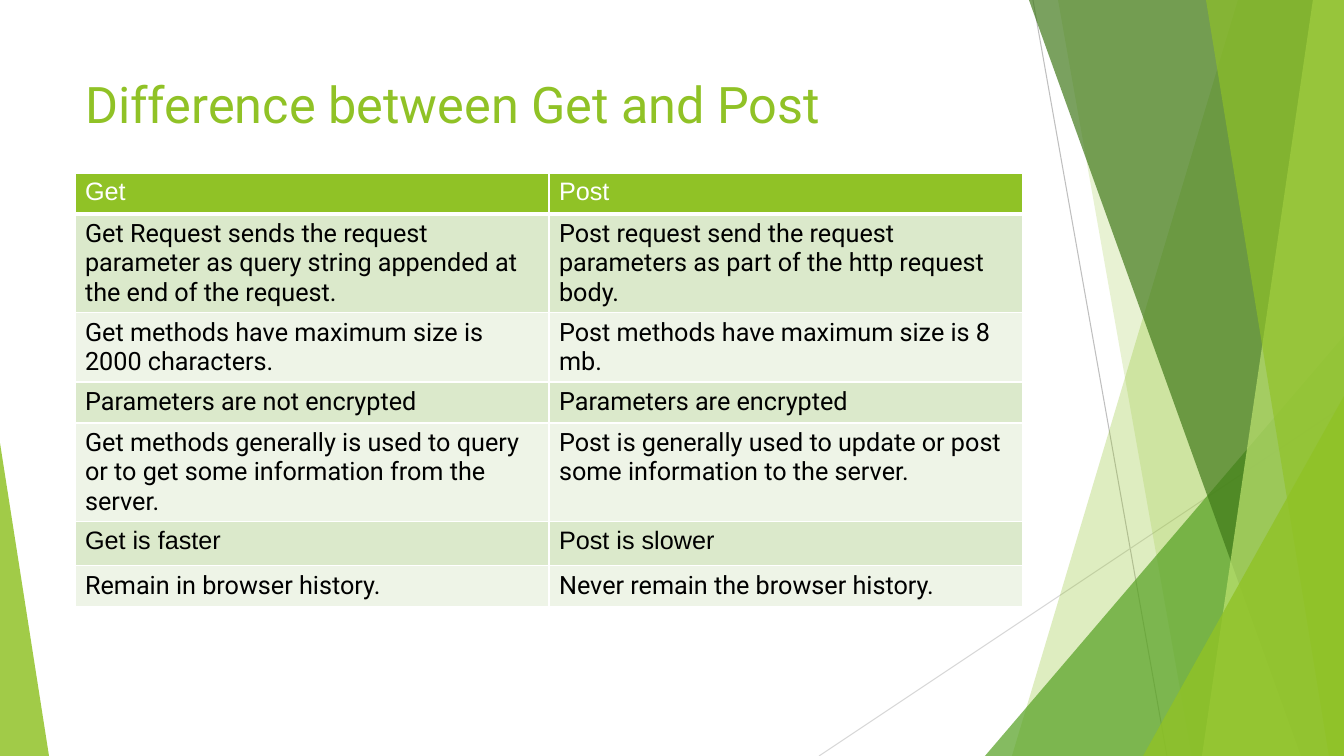
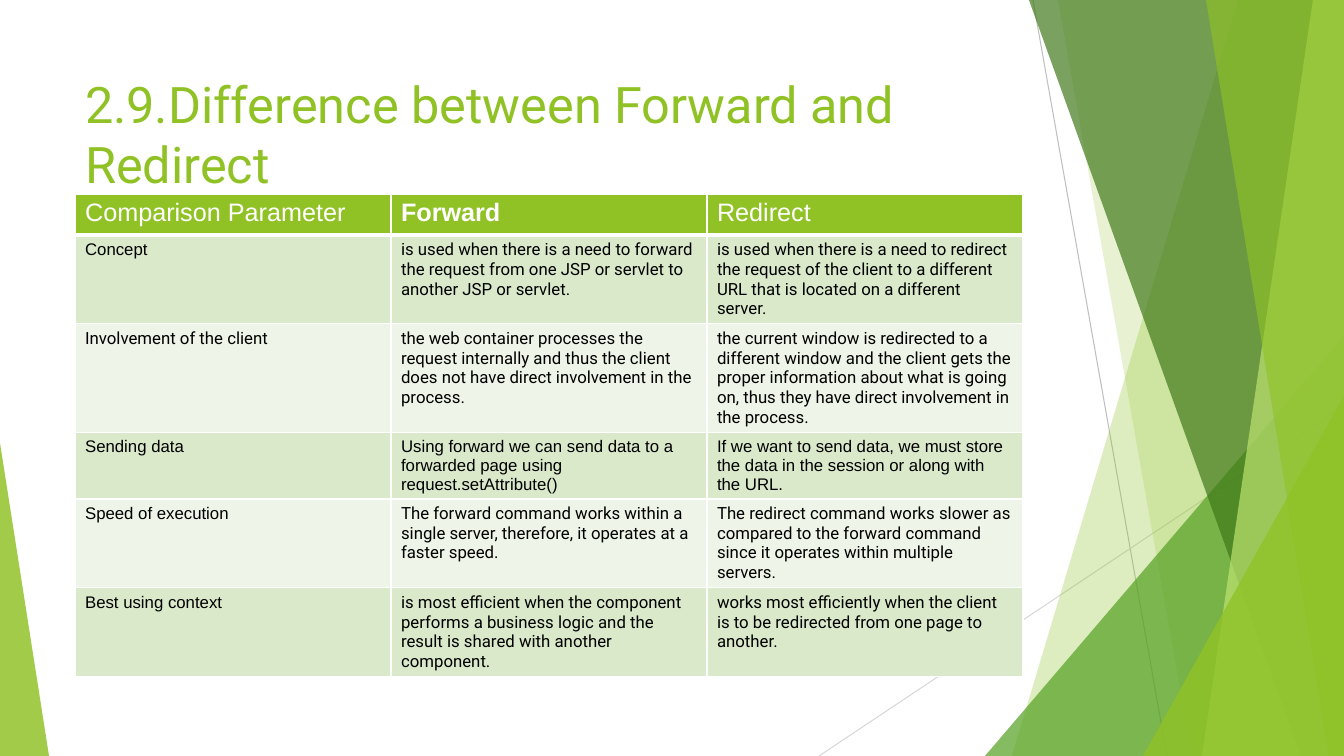
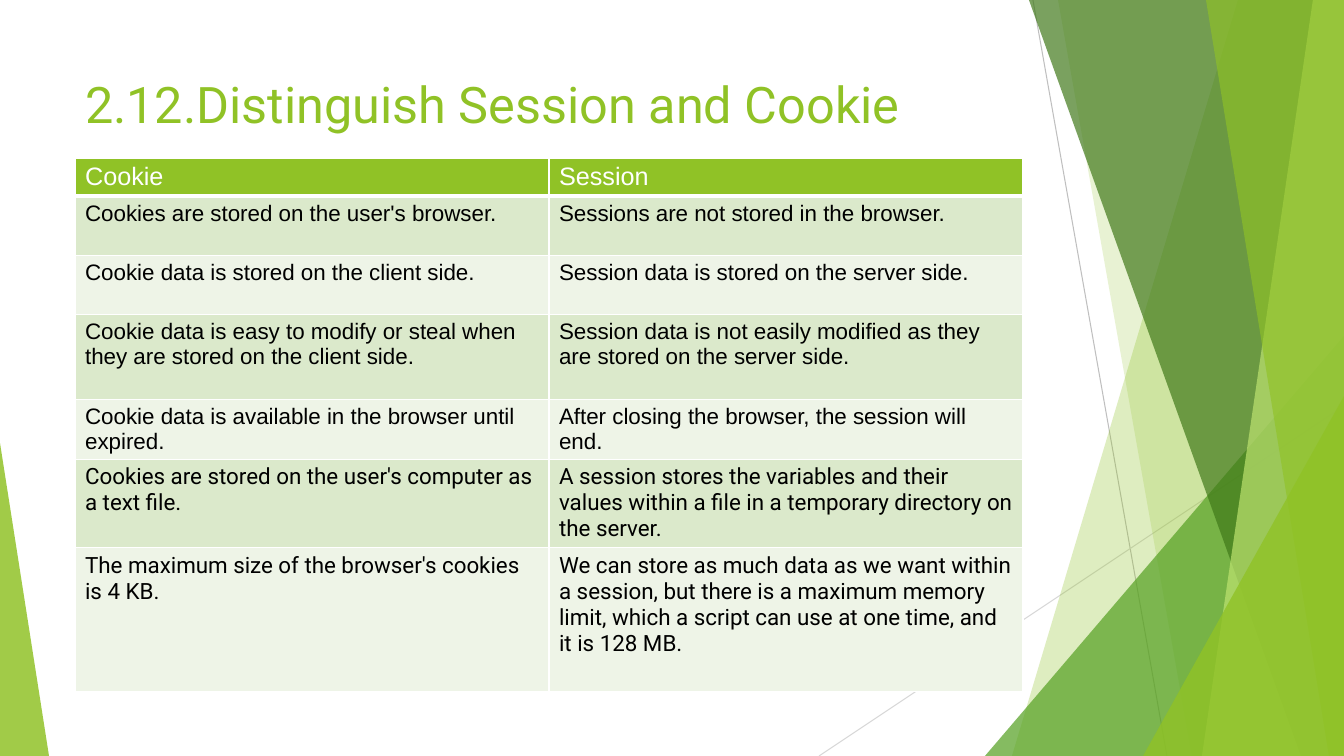
"""Build three comparison-table slides on a shared green layout."""
from lxml.etree import SubElement
from pptx import Presentation
from pptx.dml.color import RGBColor
from pptx.enum.shapes import MSO_CONNECTOR, MSO_SHAPE
from pptx.enum.text import MSO_ANCHOR, MSO_AUTO_SIZE, PP_ALIGN
from pptx.oxml.ns import qn
from pptx.util import Pt

EMU_PER_PX = 914400 / 100.8
WIDTH, HEIGHT = 1344, 756
GREEN, WHITE, BLACK = "90C226", "FFFFFF", "000000"
BANDS = ("DBE9CB", "EEF4E7")
FONTS = {"A": "Arial", "R": "Roboto"}
TITLE_BOX = (75, 68, 948, 145)
TABLE_LEFT, TABLE_WIDTH = 75, 948
HEADER_SIZE = 18

LINES = [
    ((1033, 0), (1167, HEIGHT), "BFBFBF"),
    ((WIDTH, 406), (819, HEIGHT), "D8D8D8"),
]
FACETS = [
    ("panel", (1238, 1012), GREEN, 29),
    ("panel", (1058, 1192), GREEN, 20),
    ("triangle", (985, 336, 359, 420, 1), "54A021", 71),
    ("panel", (1029, 1301), "3F7818", 69),
    ("panel", (1313, 1202), "BFE471", 69),
    ("panel", (1206, 1329), GREEN, 64),
    ("triangle", (1143, 396, 201, 360, 1), GREEN, 80),
    ("triangle", (0, 443, 49, 313, 0), GREEN, 84),
]

SLIDES = [
    {
        "title": "Difference between Get and Post",
        "top": 173, "size": 18, "bold": (),
        "header": (41, ("Get", "Post")),
        "rows": [
            (41, "RR", ("Get Request sends the request parameter as query string appended at the end of the request.",
                        "Post request send the request parameters as part of the http request body.")),
            (41, "RR", ("Get methods have maximum size is 2000 characters.",
                        "Post methods have maximum size is 8 mb.")),
            (41, "RR", ("Parameters are not encrypted", "Parameters are encrypted")),
            (41, "RR", ("Get methods generally is used to query or to get some information from the server.",
                        "Post is generally used to update or post some information to the server.")),
            (44, "AA", ("Get is faster", "Post is slower")),
            (41, "RR", ("Remain in browser history.", "Never remain the browser history.")),
        ],
    },
    {
        "title": "2.9.Difference between Forward and Redirect",
        "top": 194, "size": 12, "bold": ("Forward",),
        "header": (41, ("Comparison Parameter", "Forward", "Redirect")),
        "rows": [
            (41, "ARR", ("Concept",
                         "is used when there is a need to forward the request from one JSP or servlet to another JSP or servlet.",
                         "is used when there is a need to redirect the request of the client to a different URL that is located on a different server.")),
            (41, "RRR", ("Involvement of the client",
                         "the web container processes the request internally and thus the client does not have direct involvement in the process.",
                         "the current window is redirected to a different window and the client gets the proper information about what is going on, thus they have direct involvement in the process.")),
            (41, "AAA", ("Sending data",
                         "Using forward we can send data to a forwarded page using request.setAttribute()",
                         "If we want to send data, we must store the data in the session or along with the URL.")),
            (41, "ARR", ("Speed of execution",
                         "The forward command works within a single server, therefore, it operates at a faster speed.",
                         "The redirect command works slower as compared to the forward command since it operates within multiple servers.")),
            (41, "ARR", ("Best using context",
                         "is most efficient when the component performs a business logic and the result is shared with another component.",
                         "works most efficiently when the client is to be redirected from one page to another.")),
        ],
    },
    {
        "title": "2.12.Distinguish Session and Cookie",
        "top": 158, "size": 16, "bold": (),
        "header": (37, ("Cookie", "Session")),
        "rows": [
            (59, "AA", ("Cookies are stored on the user's browser.",
                        "Sessions are not stored in the browser.")),
            (59, "AA", ("Cookie data is stored on the client side.",
                        "Session data is stored on the server side.")),
            (85, "AA", ("Cookie data is easy to modify or steal when they are stored on the client side.",
                        "Session data is not easily modified as they are stored on the server side.")),
            (59, "AA", ("Cookie data is available in the browser until expired.",
                        "After closing the browser, the session will end.")),
            (85, "RR", ("Cookies are stored on the user's computer as a text file.",
                        "A session stores the variables and their values within a file in a temporary directory on the server.")),
            (144, "RR", ("The maximum size of the browser's cookies is 4 KB.",
                         "We can store as much data as we want within a session, but there is a maximum memory limit, which a script can use at one time, and it is 128 MB.")),
        ],
    },
]


def px(*lengths):
    return [round(length * EMU_PER_PX) for length in lengths]


def color(hex_string):
    return RGBColor.from_string(hex_string)


def style_text(paragraph, font_name, size, hex_string, bold=False):
    for run in paragraph.runs:
        run.font.name = font_name
        run.font.size = Pt(size)
        run.font.bold = bold
        run.font.color.rgb = color(hex_string)


def draw_line(shapes, start, end, hex_string):
    line = shapes.add_connector(MSO_CONNECTOR.STRAIGHT, *px(*start, *end))
    line.line.color.rgb = color(hex_string)
    line.line.width = Pt(0.75)
    SubElement(line.element.spPr, qn("a:effectLst"))
    return line


def draw_facet(shapes, kind, geometry, hex_string, opacity):
    if kind == "panel":
        top_x, bottom_x = geometry
        corners = [(WIDTH, 0), (WIDTH, HEIGHT), (bottom_x, HEIGHT)]
        builder = shapes.build_freeform(*px(top_x, 0))
        builder.add_line_segments([px(*corner) for corner in corners], close=True)
        shape = builder.convert_to_shape()
    else:
        *box, apex = geometry
        shape = shapes.add_shape(MSO_SHAPE.ISOSCELES_TRIANGLE, *px(*box))
        shape.adjustments[0] = apex
    shape.shadow.inherit = False
    shape.fill.solid()
    shape.fill.fore_color.rgb = color(hex_string)
    shape.line.fill.background()
    fill_color = shape.element.spPr.find(qn("a:solidFill"))[0]
    SubElement(fill_color, qn("a:alpha"), val=str(opacity * 1000))
    return shape


def decorate_layout(layout, slide):
    drawn = [draw_line(slide.shapes, *line) for line in LINES]
    drawn += [draw_facet(slide.shapes, *facet) for facet in FACETS]
    for index, shape in enumerate(drawn):
        shape.element.xpath(".//p:cNvPr")[0].set("id", str(100 + index))
        layout.shapes.element.insert(2 + index, shape.element)


def add_title(slide, text):
    title = slide.shapes.title
    frame = title.text_frame
    frame.text = text
    frame.auto_size = MSO_AUTO_SIZE.NONE
    frame.vertical_anchor = MSO_ANCHOR.TOP
    paragraph = frame.paragraphs[0]
    paragraph.alignment = PP_ALIGN.LEFT
    style_text(paragraph, "Roboto", 36, GREEN)


def add_borders(cell, row_index):
    widths = {"L": 1, "R": 1, "T": 3 if row_index == 1 else 1, "B": 3 if row_index == 0 else 1}
    properties = cell._tc.get_or_add_tcPr()
    for side, width in widths.items():
        border = SubElement(properties, qn("a:ln" + side), w=str(Pt(width)))
        SubElement(SubElement(border, qn("a:solidFill")), qn("a:srgbClr"), val=WHITE)


def add_comparison(slide, content):
    header_height, header = content["header"]
    rows = [(header_height, "A" * len(header), header)] + content["rows"]
    total_height = sum(row[0] for row in rows)
    frame = slide.shapes.add_table(
        len(rows), len(header), *px(TABLE_LEFT, content["top"], TABLE_WIDTH, total_height))
    table = frame.table
    for column in table.columns:
        column.width = px(TABLE_WIDTH // len(header))[0]
    for row_index, (height, fonts, texts) in enumerate(rows):
        table.rows[row_index].height = px(height)[0]
        is_header = row_index == 0
        fill = GREEN if is_header else BANDS[(row_index - 1) % 2]
        size = HEADER_SIZE if is_header else content["size"]
        for column_index, (font, text) in enumerate(zip(fonts, texts)):
            cell = table.cell(row_index, column_index)
            add_borders(cell, row_index)
            cell.fill.solid()
            cell.fill.fore_color.rgb = color(fill)
            cell.text_frame.text = text
            style_text(cell.text_frame.paragraphs[0], FONTS[font], size,
                       WHITE if is_header else BLACK, text in content["bold"])


def main():
    presentation = Presentation()
    presentation.slide_width, presentation.slide_height = px(WIDTH, HEIGHT)
    layout = presentation.slide_layouts.get_by_name("Title Only")
    title = layout.placeholders[0]
    title.left, title.top, title.width, title.height = px(*TITLE_BOX)
    for index, content in enumerate(SLIDES):
        slide = presentation.slides.add_slide(layout)
        if index == 0:
            decorate_layout(layout, slide)
        add_title(slide, content["title"])
        add_comparison(slide, content)
    presentation.save("out.pptx")


if __name__ == "__main__":
    main()
